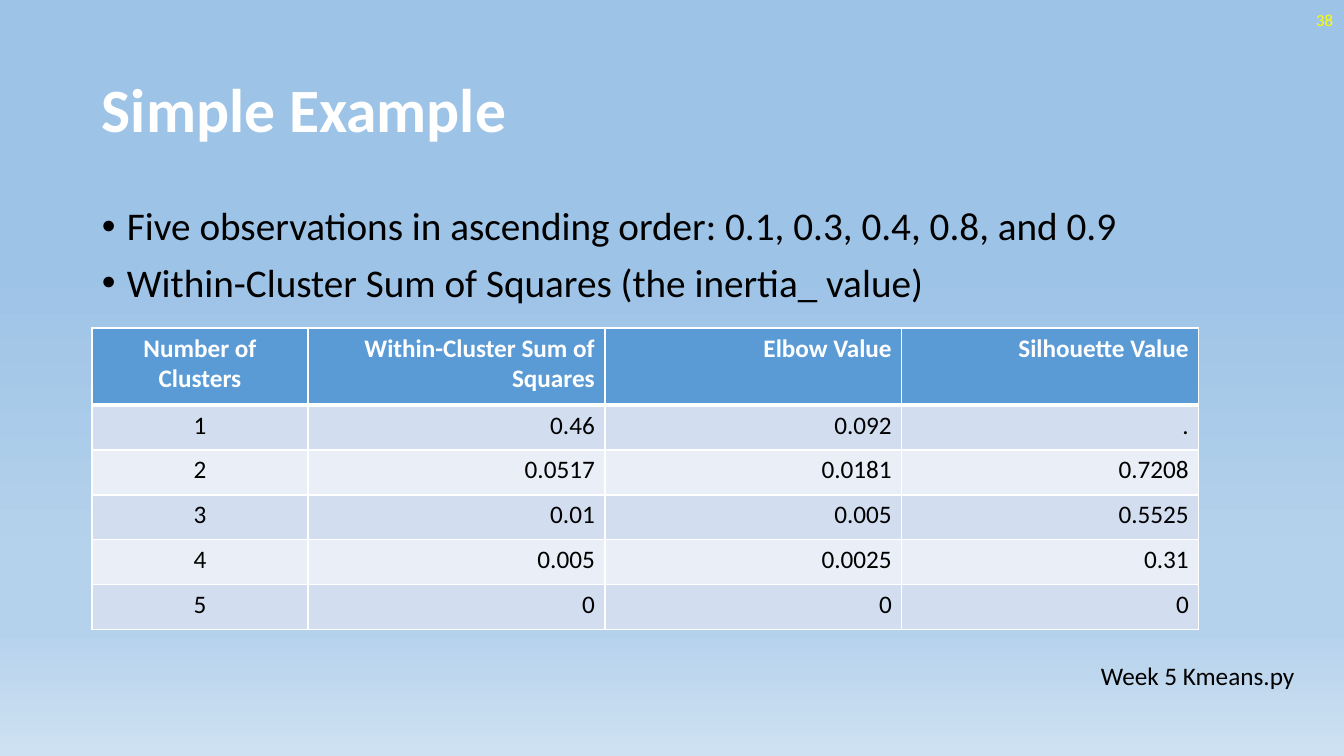
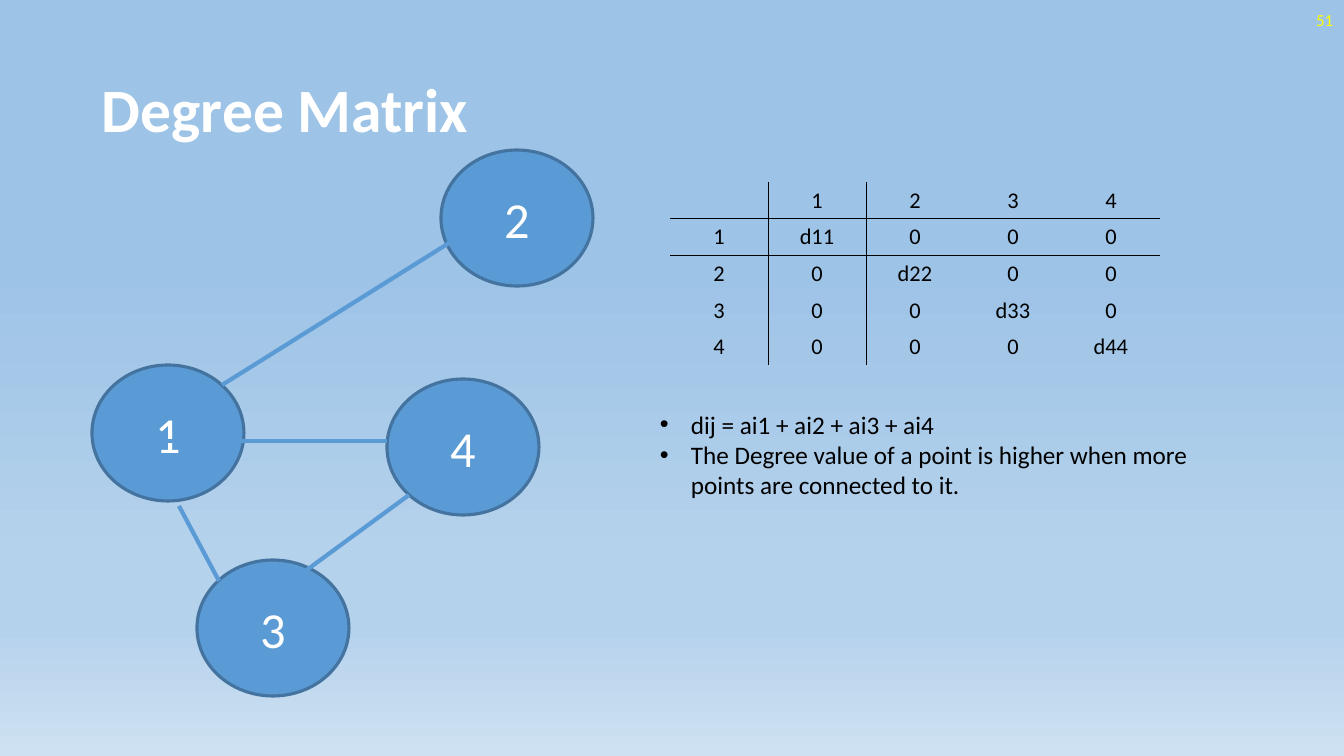
from lxml.etree import SubElement
from pptx import Presentation
from pptx.dml.color import RGBColor
from pptx.enum.shapes import MSO_CONNECTOR, MSO_SHAPE
from pptx.enum.text import MSO_ANCHOR, PP_ALIGN
from pptx.oxml.ns import qn
from pptx.util import Pt

PX = 12192000 / 1344
FONT = "Calibri"
PLAIN = "{2D5ABB26-0587-4C30-8999-92F81FD0307C}"
INK = {
    "black": "000000",
    "white": "FFFFFF",
    "yellow": "FFFF00",
    "blue": "5B9BD5",
    "rim": "43739E",
    "band": "D2DEEF",
    "pale": "EAEFF7",
}
SKY = [(35, "9DC3E6"), (74, "B5D2EC"), (83, "B5D2EC"), (100, "CEE1F2")]


def px(*nums):
    return [round(num * PX) for num in nums]


def write(frame, lines, size, tint="black", bold=False, align=PP_ALIGN.LEFT,
          hang=0, lead=1.0, gap=0):
    for i, line in enumerate(lines):
        para = frame.add_paragraph() if i else frame.paragraphs[0]
        para.alignment = align
        para.line_spacing = lead
        para.space_before = Pt(gap)
        run = para.add_run()
        run.text = line
        run.font.name = FONT
        run.font.size = Pt(size)
        run.font.bold = bold
        run.font.color.rgb = RGBColor.from_string(INK[tint])
        if hang:
            props = para._p.get_or_add_pPr()
            dent = px(hang)[0]
            props.set("marL", str(dent))
            props.set("indent", str(-dent))
            SubElement(props, qn("a:buFont"), typeface="Arial")
            SubElement(props, qn("a:buChar"), char="•")


prs = Presentation()
prs.slide_width, prs.slide_height = px(1344, 756)

master = prs.slide_master
fill = master.background.fill
fill.gradient()
fill.gradient_angle = 270
stops = master.element.find(".//" + qn("a:gsLst"))
for stop in list(stops):
    stops.remove(stop)
for place, tone in SKY:
    stop = SubElement(stops, qn("a:gs"), pos=str(place * 1000))
    SubElement(stop, qn("a:srgbClr"), val=tone)

first, second = [prs.slides.add_slide(prs.slide_layouts[6]) for _ in range(2)]

TITLE = dict(size=44, tint="white", bold=True, lead=0.9)
PAGE = dict(size=12, tint="yellow", align=PP_ALIGN.RIGHT)
texts = [
    (first, (92, 202, 1159, 480), MSO_ANCHOR.TOP, [
        "Five observations in ascending order: 0.1, 0.3, 0.4, 0.8, and 0.9",
        "Within-Cluster Sum of Squares (the inertia_ value)",
    ], dict(size=28, hang=25, lead=0.9, gap=10)),
    (first, (1091, 655, 217, 40), MSO_ANCHOR.TOP, ["Week 5 Kmeans.py"],
     dict(size=18)),
    (second, (650, 404, 564, 102), MSO_ANCHOR.TOP, [
        "dij = ai1 + ai2 + ai3 + ai4",
        "The Degree value of a point is higher when more points are connected to it.",
    ], dict(size=18, hang=31)),
]
for slide, title, page in [(first, "Simple Example", "38"),
                           (second, "Degree Matrix", "51")]:
    texts.append((slide, (92, 40, 1159, 146), MSO_ANCHOR.MIDDLE, [title], TITLE))
    texts.append((slide, (1041, 0, 302, 40), MSO_ANCHOR.MIDDLE, [page], PAGE))

for slide, area, anchor, lines, style in texts:
    frame = slide.shapes.add_textbox(*px(*area)).text_frame
    frame.word_wrap = True
    frame.vertical_anchor = anchor
    write(frame, lines, **style)

scores = [
    ["Number of Clusters", "Within-Cluster Sum of Squares", "Elbow Value",
     "Silhouette Value"],
    ["1", "0.46", "0.092", "."],
    ["2", "0.0517", "0.0181", "0.7208"],
    ["3", "0.01", "0.005", "0.5525"],
    ["4", "0.005", "0.0025", "0.31"],
    ["5", "0", "0", "0"],
]
names = ["1", "2", "3", "4"]
degrees = [[""] + names] + [
    [row] + ["d" + row + col if row == col else "0" for col in names]
    for row in names
]
tables = [
    (first, scores, (92, 328), [216] + [297] * 3, [77] + [45] * 5),
    (second, degrees, (670, 182), [98] * 5, [36, 37, 37, 36, 37]),
]
for slide, data, spot, wide, high in tables:
    shape = slide.shapes.add_table(
        len(high), len(wide), *px(*spot, sum(wide), sum(high)))
    shape.element.find(".//" + qn("a:tableStyleId")).text = PLAIN
    grid = shape.table
    grid.first_row = grid.horz_banding = False
    for col, size in zip(grid.columns, px(*wide)):
        col.width = size
    for row, size in zip(grid.rows, px(*high)):
        row.height = size
    for r, row in enumerate(data):
        for c, word in enumerate(row):
            cell = grid.cell(r, c)
            if slide is first:
                line = "white"
                edges = dict(L=1, R=1, T=3 if r == 1 else 1, B=1 if r else 3)
                align = PP_ALIGN.RIGHT if c else PP_ALIGN.CENTER
                write(cell.text_frame, [word], 18, "black" if r else "white",
                      r == 0, align)
            else:
                line = "black"
                edges = dict(L=0.5 * (c == 1), R=0.5 * (c == 0),
                             T=0.5 * (r == 1), B=0.5 * (r == 0))
                cell.vertical_anchor = MSO_ANCHOR.MIDDLE
                cell.margin_left = cell.margin_right = cell.margin_top = px(1)[0]
                cell.margin_bottom = 0
                if word:
                    write(cell.text_frame, [word], 16, align=PP_ALIGN.CENTER)
            props = cell._tc.get_or_add_tcPr()
            for side, width in edges.items():
                if width:
                    edge = SubElement(props, qn("a:ln" + side), w=str(Pt(width)))
                    solid = SubElement(edge, qn("a:solidFill"))
                    SubElement(solid, qn("a:srgbClr"), val=INK[line])
            if slide is first:
                tone = "blue" if r == 0 else "band" if r % 2 else "pale"
                cell.fill.solid()
                cell.fill.fore_color.rgb = RGBColor.from_string(INK[tone])
            else:
                cell.fill.background()

nodes = {"1": (92, 365), "2": (441, 150), "3": (197, 560), "4": (387, 379)}
for name, spot in nodes.items():
    node = second.shapes.add_shape(MSO_SHAPE.OVAL, *px(*spot, 152, 136))
    node.shadow.inherit = False
    node.fill.solid()
    node.fill.fore_color.rgb = RGBColor.from_string(INK["blue"])
    node.line.color.rgb = RGBColor.from_string(INK["rim"])
    node.line.width = Pt(2.25)
    node.text_frame.vertical_anchor = MSO_ANCHOR.MIDDLE
    write(node.text_frame, [name], 36, "white", align=PP_ALIGN.CENTER)

links = [(222, 385, 449, 243), (130, 441, 387, 441),
         (304, 572, 409, 495), (179, 506, 219, 581)]
for ends in links:
    link = second.shapes.add_connector(MSO_CONNECTOR.STRAIGHT, *px(*ends))
    link.line.color.rgb = RGBColor.from_string(INK["blue"])
    link.line.width = Pt(3)
    SubElement(link.element.spPr, qn("a:effectLst"))

prs.save("out.pptx")
